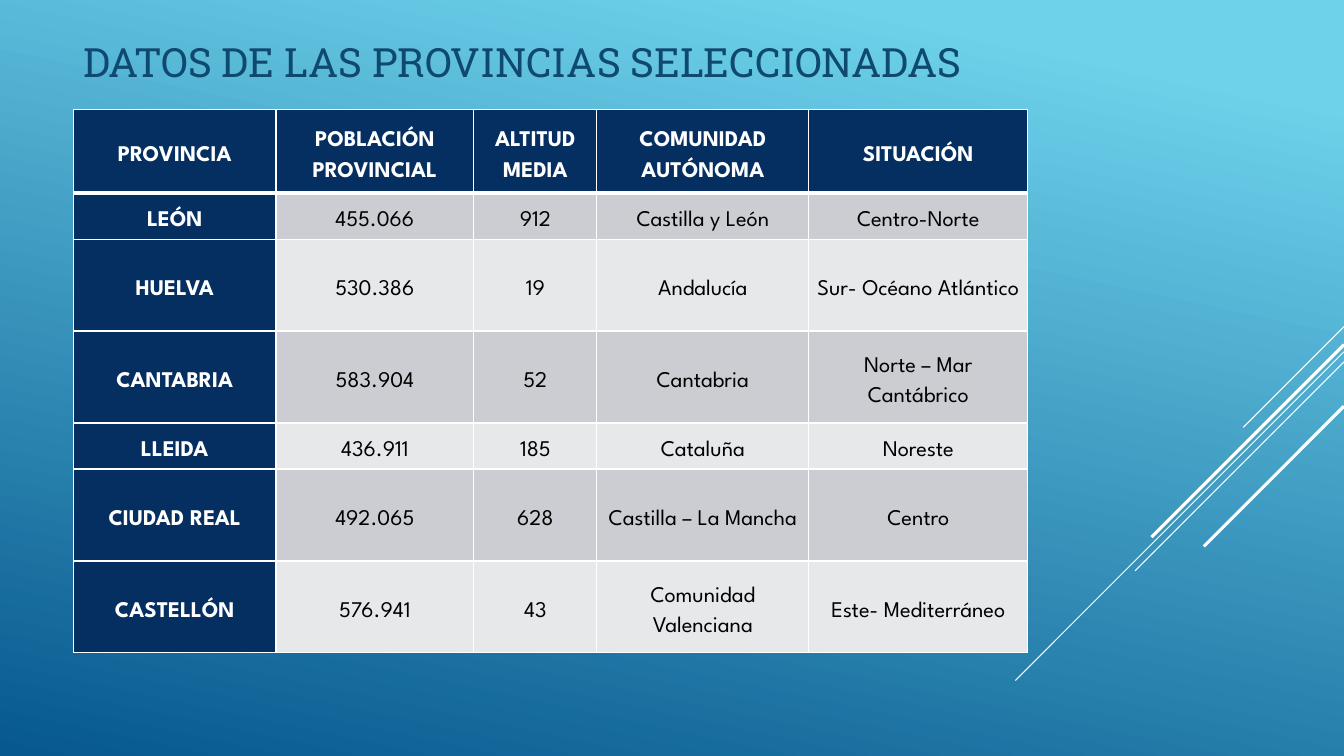
from dataclasses import dataclass

from lxml import etree
from pptx import Presentation
from pptx.dml.color import RGBColor
from pptx.enum.shapes import MSO_CONNECTOR
from pptx.enum.text import MSO_ANCHOR, PP_ALIGN
from pptx.oxml.ns import qn
from pptx.util import Pt

STRAIGHT = MSO_CONNECTOR.STRAIGHT
MIDDLE = MSO_ANCHOR.MIDDLE
CENTER = PP_ALIGN.CENTER

WIDTH, HEIGHT = 960, 540

TITLE = "DATOS DE LAS PROVINCIAS SELECCIONADAS"
PROVINCES = [
    ("PROVINCIA", "POBLACIÓN PROVINCIAL", "ALTITUD MEDIA", "COMUNIDAD AUTÓNOMA", "SITUACIÓN"),
    ("LEÓN", "455.066", "912", "Castilla y León", "Centro-Norte"),
    ("HUELVA", "530.386", "19", "Andalucía", "Sur- Océano Atlántico"),
    ("CANTABRIA", "583.904", "52", "Cantabria", "Norte – Mar Cantábrico"),
    ("LLEIDA", "436.911", "185", "Cataluña", "Noreste"),
    ("CIUDAD REAL", "492.065", "628", "Castilla – La Mancha", "Centro"),
    ("CASTELLÓN", "576.941", "43", "Comunidad Valenciana", "Este- Mediterráneo"),
]
COLUMN_WIDTHS = [144.5, 141.4, 87.9, 151.4, 156.4]
SHORT_ROW, TALL_ROW = 32.85, 65.7
ROW_HEIGHTS = [59.6, SHORT_ROW, TALL_ROW, TALL_ROW, SHORT_ROW, TALL_ROW, TALL_ROW]

# Height on the right edge, horizontal reach, line width
DIAGONALS = [
    (233.3, 72, 0.75),
    (251.3, 234.7, 0.75),
    (258.5, 149.2, 0.75),
    (246.2, 137.5, 2.25),
    (290.2, 100.1, 2.25),
]


@dataclass
class Theme:
    sky: str = "6ED2EB"
    deep: str = "06588E"
    title: str = "0F496F"
    heading: str = "052F61"
    bands: tuple = ("CCCDD2", "E7E8EA")
    light: str = "FFFFFF"
    dark: str = "000000"
    title_font: str = "Roboto Slab"
    table_font: str = "League Spartan"
    title_size: float = 28.8
    table_size: float = 16
    grid_width: float = 1
    header_rule: float = 3


class SlideBuilder:
    def __init__(self, slide, theme):
        self.slide = slide
        self.theme = theme

    def background(self):
        fill = self.slide.background.fill
        fill.gradient()
        fill.gradient_angle = 258
        stops = ((0.1, self.theme.sky), (1, self.theme.deep))
        for stop, (position, color) in zip(fill.gradient_stops, stops):
            stop.position = position
            stop.color.rgb = RGBColor.from_string(color)

    def diagonal(self, top, reach, width):
        """Draw a 45-degree line from the right edge down to the left."""
        line = self.slide.shapes.add_connector(
            STRAIGHT, Pt(WIDTH), Pt(top), Pt(WIDTH - reach), Pt(top + reach))
        line.line.color.rgb = RGBColor.from_string(self.theme.light)
        line.line.width = Pt(width)
        etree.SubElement(line._element.spPr, qn("a:effectLst"))

    def style_font(self, paragraph, family, size, color, bold=False):
        font = paragraph.font
        font.name, font.size, font.bold = family, Pt(size), bold
        font.color.rgb = RGBColor.from_string(color)

    def title(self, text, left, top, width, height):
        box = self.slide.shapes.add_textbox(Pt(left), Pt(top), Pt(width), Pt(height))
        frame = box.text_frame
        frame.word_wrap = True
        frame.vertical_anchor = MIDDLE
        frame.text = text
        self.style_font(frame.paragraphs[0], self.theme.title_font,
                        self.theme.title_size, self.theme.title)

    def table(self, rows, left, top, widths, heights):
        table = self.slide.shapes.add_table(
            len(rows), len(widths), Pt(left), Pt(top),
            Pt(sum(widths)), Pt(sum(heights))).table
        for column, width in zip(table.columns, widths):
            column.width = Pt(width)
        for row, height in zip(table.rows, heights):
            row.height = Pt(height)
        for r, values in enumerate(rows):
            for c, value in enumerate(values):
                self.cell(table.cell(r, c), value, r, c)

    def cell(self, cell, text, row, column):
        theme = self.theme
        is_heading = row == 0 or column == 0
        cell.text = text
        cell.vertical_anchor = MIDDLE
        cell.margin_left = cell.margin_right = Pt(5)
        cell.margin_top = cell.margin_bottom = 0
        paragraph = cell.text_frame.paragraphs[0]
        paragraph.alignment = CENTER
        paragraph.line_spacing = 1.5
        paragraph.space_after = Pt(8)
        self.style_font(paragraph, theme.table_font, theme.table_size,
                        theme.light if is_heading else theme.dark, is_heading)
        self.borders(cell,
                     top=theme.header_rule if row == 1 else theme.grid_width,
                     bottom=theme.header_rule if row == 0 else theme.grid_width)
        cell.fill.solid()
        color = theme.heading if is_heading else theme.bands[(row - 1) % 2]
        cell.fill.fore_color.rgb = RGBColor.from_string(color)

    def borders(self, cell, top, bottom):
        properties = cell._tc.get_or_add_tcPr()
        grid = self.theme.grid_width
        sides = (("a:lnL", grid), ("a:lnR", grid), ("a:lnT", top), ("a:lnB", bottom))
        for tag, width in sides:
            border = etree.SubElement(properties, qn(tag), w=str(Pt(width)))
            fill = etree.SubElement(border, qn("a:solidFill"))
            etree.SubElement(fill, qn("a:srgbClr"), val=self.theme.light)


def main():
    presentation = Presentation()
    presentation.slide_width, presentation.slide_height = Pt(WIDTH), Pt(HEIGHT)
    slide = presentation.slides.add_slide(presentation.slide_layouts[6])
    builder = SlideBuilder(slide, Theme())
    builder.background()
    for diagonal in DIAGONALS:
        builder.diagonal(*diagonal)
    builder.title(TITLE, 52.6, 13.7, 701.3, 59.8)
    builder.table(PROVINCES, 52.6, 78.4, COLUMN_WIDTHS, ROW_HEIGHTS)
    presentation.save("out.pptx")


if __name__ == "__main__":
    main()
